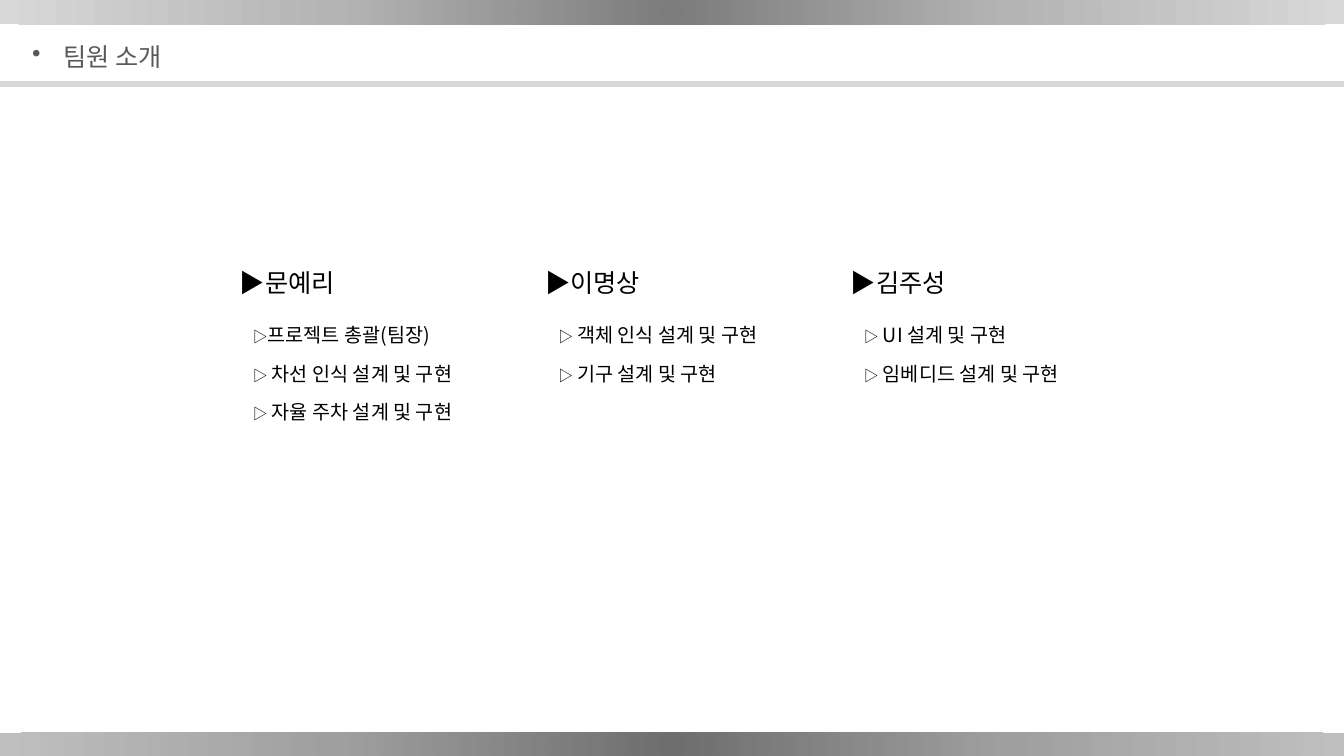
from dataclasses import dataclass

from lxml import etree
from pptx import Presentation
from pptx import util as u
from pptx.dml.color import RGBColor
from pptx.enum import shapes, text
from pptx.oxml import parse_xml
from pptx.oxml.ns import nsdecls, qn


@dataclass(frozen=True)
class Theme:
    font: str = "Noto Sans CJK KR"
    ink: str = "000000"
    title_ink: str = "595959"
    rule: str = "D8D8D8"
    top_band: tuple[str, ...] = ("7C7C7C", "B4B4B4", "D8D8D8")
    bottom_band: tuple[str, ...] = ("6E6E6E", "9F9F9F", "BFBFBF")
    heading_size: float = 18
    task_size: float = 14
    marker_size: float = 10.5


@dataclass(frozen=True)
class Member:
    name: str
    tasks: tuple[str, ...]


THEME = Theme()
SLIDE_WIDTH = 13.33
BAND_HEIGHT = 0.24
MEMBERS = (
    Member("문예리", ("프로젝트 총괄(팀장)", " 차선 인식 설계 및 구현", " 자율 주차 설계 및 구현")),
    Member("이명상", (" 객체 인식 설계 및 구현", " 기구 설계 및 구현")),
    Member("김주성", (" UI 설계 및 구현", " 임베디드 설계 및 구현")),
)
COLUMN_LEFT, COLUMN_STEP = 2.28, 3.03


def set_format(target, values: dict) -> None:
    for name, value in values.items():
        setattr(target, name, value)


def add_bar(page, top: float, height: float):
    bar = page.shapes.add_shape(
        shapes.MSO_SHAPE.RECTANGLE,
        u.Inches(0), u.Inches(top), u.Inches(SLIDE_WIDTH), u.Inches(height),
    )
    bar.shadow.inherit = False
    return bar


def add_band(page, top: float, colors: tuple[str, ...]) -> None:
    """Add a full-width bar whose gradient spreads from its centre."""
    band = add_bar(page, top, BAND_HEIGHT)
    band.line.fill.background()
    stops = "".join(
        f'<a:gs pos="{index * 50000}"><a:srgbClr val="{color}"/></a:gs>'
        for index, color in enumerate(colors)
    )
    gradient = parse_xml(
        f'<a:gradFill {nsdecls("a")} rotWithShape="1"><a:gsLst>{stops}</a:gsLst>'
        '<a:path path="circle"><a:fillToRect l="50000" t="50000" r="50000" b="50000"/>'
        "</a:path></a:gradFill>"
    )
    band._element.spPr.find(qn("a:prstGeom")).addnext(gradient)


def add_rule(page, top: float) -> None:
    rule = add_bar(page, top, 0.05)
    color = RGBColor.from_string(THEME.rule)
    rule.fill.solid()
    rule.fill.fore_color.rgb = color
    rule.line.color.rgb = color
    rule.line.width = u.Pt(1)


def add_text_box(page, left: float, top: float, width: float, height: float):
    box = page.shapes.add_textbox(*map(u.Inches, (left, top, width, height)))
    set_format(box.text_frame, {
        "word_wrap": True,
        "auto_size": text.MSO_AUTO_SIZE.NONE,
        "vertical_anchor": text.MSO_ANCHOR.TOP,
    })
    return box.text_frame


def add_span(para, words: str, size: float, color: str) -> None:
    span = para.add_run()
    span.text = words
    set_format(span.font, {"size": u.Pt(size), "name": THEME.font})
    span.font.color.rgb = RGBColor.from_string(color)
    east_asian = etree.SubElement(span.font._element, qn("a:ea"))
    east_asian.set("typeface", THEME.font)


def add_title(page, words: str) -> None:
    para = add_text_box(page, 0.22, 0.37, 7.4, 0.3).paragraphs[0]
    properties = para._p.get_or_add_pPr()
    properties.set("marL", str(u.Inches(0.31)))
    properties.set("indent", str(u.Inches(-0.31)))
    bullet_color = etree.SubElement(properties, qn("a:buClr"))
    etree.SubElement(bullet_color, qn("a:srgbClr")).set("val", THEME.title_ink)
    etree.SubElement(properties, qn("a:buChar")).set("char", "•")
    para.line_spacing = u.Pt(20.7)
    add_span(para, words, THEME.heading_size, THEME.title_ink)


def add_member(page, member: Member, left: float) -> None:
    frame = add_text_box(page, left, 2.59, 2.72, 1.88)
    heading = frame.paragraphs[0]
    heading.line_spacing = u.Pt(22.5)
    add_span(heading, f"▶{member.name}", THEME.heading_size, THEME.ink)
    for index, task in enumerate(member.tasks):
        para = frame.add_paragraph()
        para._p.get_or_add_pPr().set("marL", str(u.Inches(0.13)))
        set_format(para, {
            "line_spacing": u.Pt(17),
            "space_before": u.Pt(10.5 if index else 18),
        })
        add_span(para, "▷", THEME.marker_size, THEME.ink)
        add_span(para, task, THEME.task_size, THEME.ink)


def main() -> None:
    deck = Presentation()
    set_format(deck, {"slide_width": u.Inches(SLIDE_WIDTH), "slide_height": u.Inches(7.5)})
    page = deck.slides.add_slide(deck.slide_layouts[6])
    add_band(page, 0, THEME.top_band)
    add_band(page, 7.27, THEME.bottom_band)
    for index, member in enumerate(MEMBERS):
        add_member(page, member, COLUMN_LEFT + index * COLUMN_STEP)
    add_rule(page, 0.81)
    add_title(page, "팀원 소개")
    deck.save("out.pptx")


if __name__ == "__main__":
    main()
